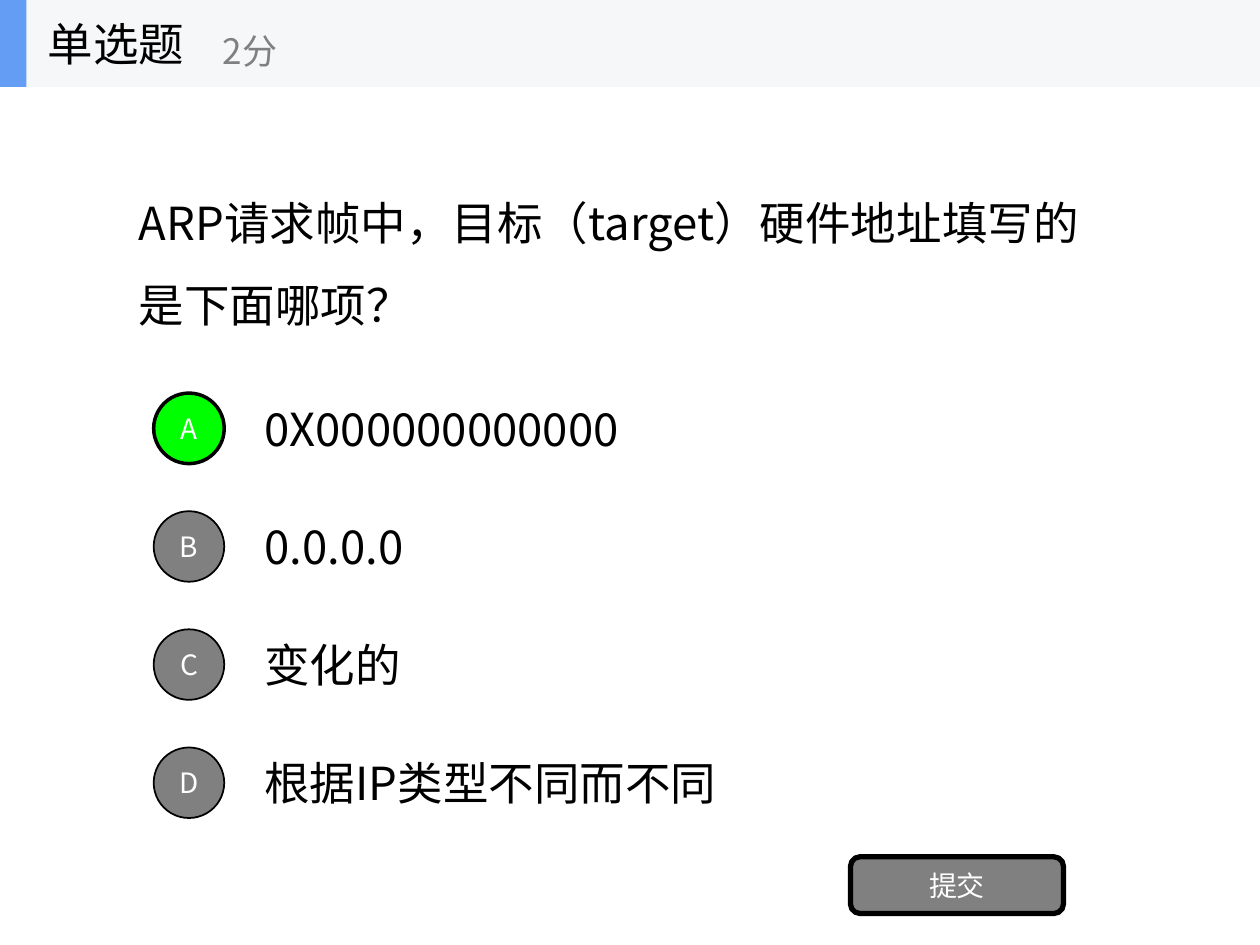
from lxml import etree
from pptx import Presentation
from pptx.dml.color import RGBColor
from pptx.enum.shapes import MSO_SHAPE
from pptx.enum.text import MSO_ANCHOR, MSO_AUTO_SIZE, PP_ALIGN
from pptx.oxml.ns import qn
from pptx.util import Inches, Pt

RECTANGLE, ROUNDED, OVAL = MSO_SHAPE.RECTANGLE, MSO_SHAPE.ROUNDED_RECTANGLE, MSO_SHAPE.OVAL
LEFT, CENTER = PP_ALIGN.LEFT, PP_ALIGN.CENTER
MIDDLE, NO_AUTOFIT = MSO_ANCHOR.MIDDLE, MSO_AUTO_SIZE.NONE
TITLE_ONLY = 5

FONT = "Noto Sans CJK SC"
BLACK, GRAY, WHITE = "000000", "808080", "FFFFFF"
GREEN, BLUE, PALE = "00FF00", "639EF4", "F6F7F8"
TEXT_SIZE, SCORE_SIZE, BUTTON_SIZE = 26, 20, 16

QUESTION = "ARP请求帧中，目标（target）硬件地址填写的是下面哪项？"
OPTIONS = ["0X000000000000", "0.0.0.0", "变化的", "根据IP类型不同而不同"]
CORRECT = 0


def color(value):
    return RGBColor.from_string(value)


def inches(box):
    return [Inches(length) for length in box]


def write(shape, text, size, text_color, align=LEFT):
    """Put one formatted paragraph in a shape, centred vertically."""
    frame = shape.text_frame
    frame.text = text
    frame.word_wrap = True
    frame.auto_size = NO_AUTOFIT
    frame.vertical_anchor = MIDDLE
    paragraph = frame.paragraphs[0]
    paragraph.alignment = align
    font = paragraph.font
    font.size = Pt(size)
    font.color.rgb = color(text_color)
    font.name = FONT
    properties = paragraph._p.pPr.find(qn("a:defRPr"))
    etree.SubElement(properties, qn("a:ea"), typeface=FONT)
    return paragraph


def add_text(shapes, box, text, size=TEXT_SIZE, text_color=BLACK):
    write(shapes.add_textbox(*inches(box)), text, size, text_color)


def add_block(shapes, kind, box, fill, line_width=0):
    shape = shapes.add_shape(kind, *inches(box))
    shape.shadow.inherit = False
    shape.fill.solid()
    shape.fill.fore_color.rgb = color(fill)
    if line_width:
        shape.line.color.rgb = color(BLACK)
        shape.line.width = Pt(line_width)
    else:
        shape.line.fill.background()
    return shape


def add_question(slide, box):
    title = slide.shapes.title
    title.left, title.top, title.width, title.height = inches(box)
    write(title, QUESTION, TEXT_SIZE, BLACK).line_spacing = 1.5


def add_options(slide, box):
    """Lay out one row per option: a lettered circle and its answer."""
    left, top, width, height = box
    pitch = height / len(OPTIONS)
    row_height, circle, text_offset = 0.7, 0.56, 0.78
    for index, answer in enumerate(OPTIONS):
        row_top = top + index * pitch
        add_text(slide.shapes,
                 (left + text_offset, row_top, width - text_offset, row_height), answer)
        is_correct = index == CORRECT
        button = add_block(
            slide.shapes, OVAL,
            (left, row_top + (row_height - circle) / 2, circle, circle),
            GREEN if is_correct else GRAY, 2 if is_correct else 1)
        write(button, "ABCD"[index], BUTTON_SIZE, WHITE, CENTER)


def add_submit(slide, box):
    button = add_block(slide.shapes, ROUNDED, box, GRAY, 3)
    write(button, "提交", BUTTON_SIZE, WHITE, CENTER)


def add_header(slide, box):
    left, top, width, height = box
    shapes = slide.shapes.add_group_shape().shapes
    add_block(shapes, RECTANGLE, box, PALE)
    add_block(shapes, RECTANGLE, (left, top, 0.21, height), BLUE)
    add_text(shapes, (left + 0.28, top, 2.08, height), "单选题")
    add_text(shapes, (left + 1.67, top + 0.12, 2.5, 0.56), "2分", SCORE_SIZE, GRAY)


def main():
    presentation = Presentation()
    presentation.slide_width, presentation.slide_height = inches((10, 7.5))
    slide = presentation.slides.add_slide(presentation.slide_layouts[TITLE_ONLY])
    add_question(slide, (1, 1.16, 8, 1.65))
    add_options(slide, (1.22, 3.05, 7.78, 3.75))
    add_submit(slide, (6.75, 6.8, 1.69, 0.45))
    add_header(slide, (0, 0, 10, 0.69))
    presentation.save("out.pptx")


if __name__ == "__main__":
    main()
